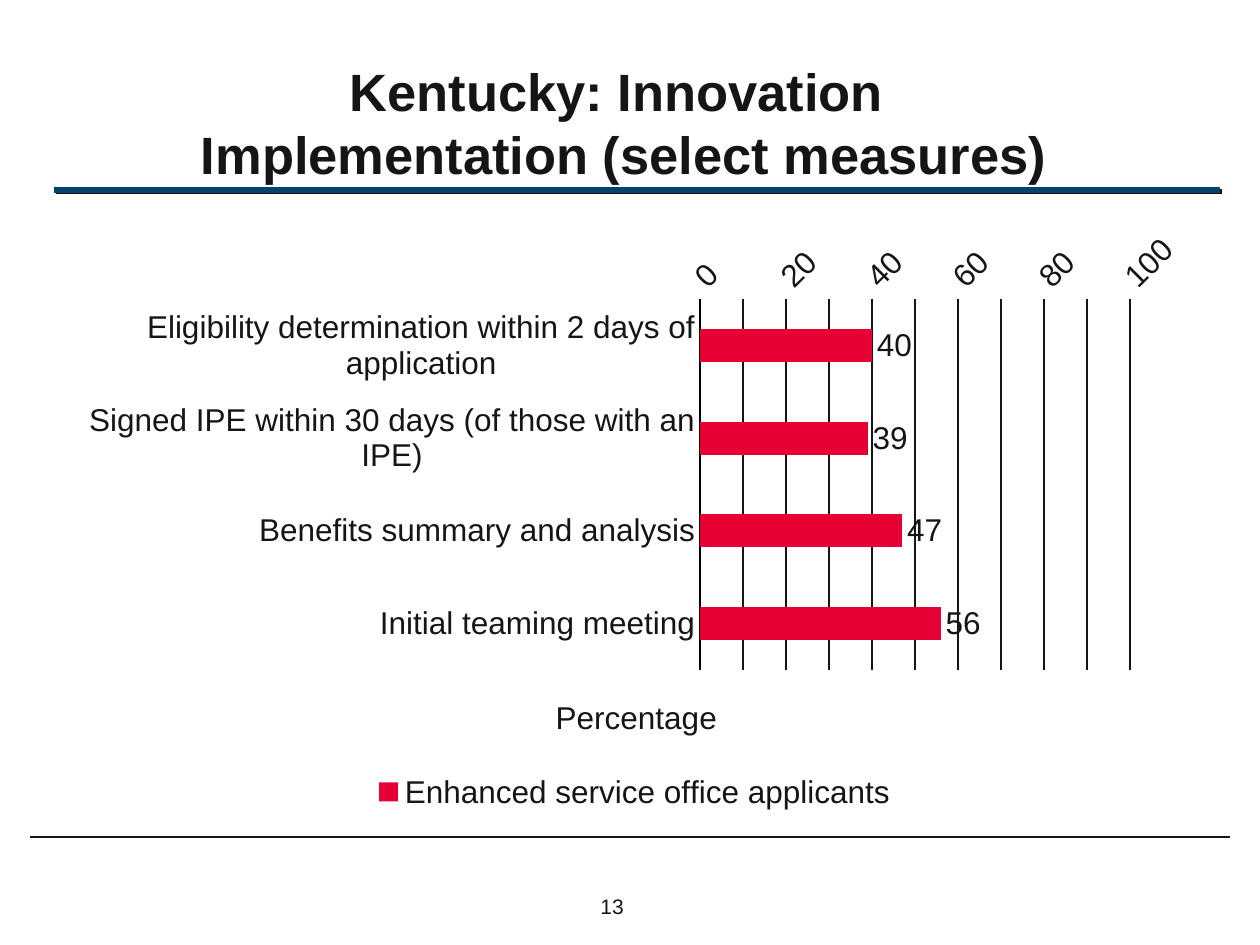
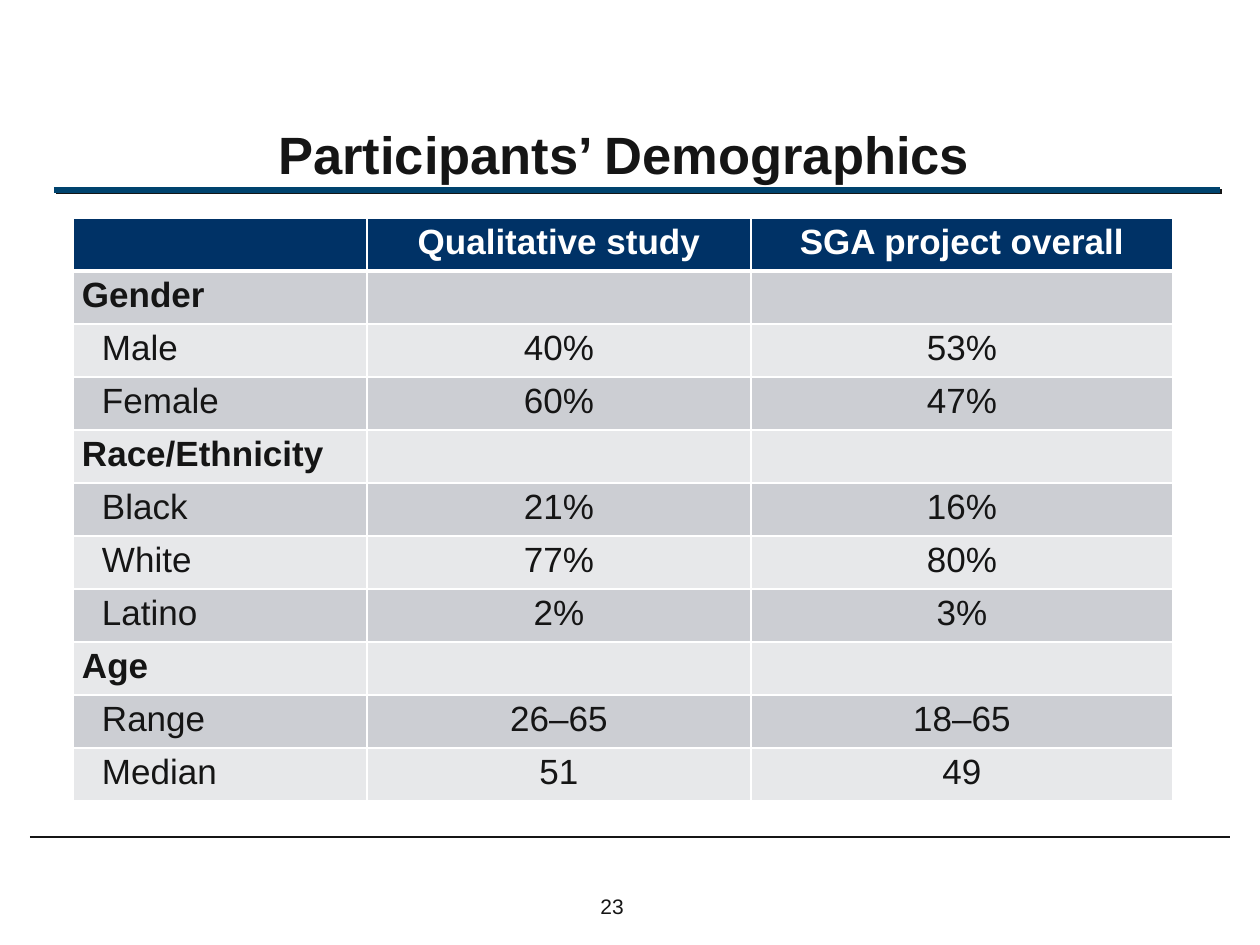
from dataclasses import dataclass

from lxml import etree
from pptx import Presentation
from pptx.chart.data import CategoryChartData
from pptx.dml.color import RGBColor
from pptx.enum.chart import XL_CHART_TYPE, XL_LABEL_POSITION, XL_LEGEND_POSITION, XL_TICK_MARK
from pptx.enum.shapes import MSO_CONNECTOR
from pptx.enum.text import MSO_ANCHOR, MSO_AUTO_SIZE, PP_ALIGN
from pptx.oxml import parse_xml
from pptx.oxml.ns import nsdecls, qn
from pptx.util import Emu, Pt


@dataclass(frozen=True)
class Theme:
    font: str = "Arial"
    ink: str = "151515"
    white: str = "FFFFFF"
    rule: str = "00436E"
    bar: str = "E70033"
    axis: str = "000000"
    header: str = "003266"
    bands: tuple = ("CCCED3", "E7E8EA")
    title_size: int = 30
    table_size: int = 20
    chart_size: int = 18
    number_size: int = 12


THEME = Theme()
PX_PER_INCH = 126
CHART_BOX = (67, 220, 1135, 596)
PLOT_BOX = (700, 299, 430, 371)
AXIS_TITLE_AT = (550, 691)
COLUMN_WIDTHS = (294, 384, 422)
ROW_HEIGHT = 53

MEASURES = (
    ("Eligibility determination within 2 days of application", 40),
    ("Signed IPE within 30 days (of those with an IPE)", 39),
    ("Benefits summary and analysis", 47),
    ("Initial teaming meeting", 56),
)
DEMOGRAPHICS = (
    ("", "Qualitative study", "SGA project overall"),
    ("Gender", "", ""),
    ("Male", "40%", "53%"),
    ("Female", "60%", "47%"),
    ("Race/Ethnicity", "", ""),
    ("Black", "21%", "16%"),
    ("White", "77%", "80%"),
    ("Latino", "2%", "3%"),
    ("Age", "", ""),
    ("Range", "26–65", "18–65"),
    ("Median", "51", "49"),
)


def px(n):
    return Emu(round(n * 914400 / PX_PER_INCH))


def rgb(color):
    return RGBColor.from_string(color)


def style_font(font, size, color=THEME.ink, bold=False):
    font.name = THEME.font
    font.size = Pt(size)
    font.bold = bold
    font.color.rgb = rgb(color)


def style_line(line, color, width):
    line.color.rgb = rgb(color)
    line.width = Pt(width)


def add_rule(slide, left, right, y, color, width, shadow=False):
    line = slide.shapes.add_connector(MSO_CONNECTOR.STRAIGHT, px(left), px(y), px(right), px(y))
    style_line(line.line, color, width)
    effects = etree.SubElement(line.element.spPr, qn("a:effectLst"))
    if shadow:
        effects.append(parse_xml(
            f'<a:outerShdw {nsdecls("a")} dist="{Pt(1.4)}" dir="2700000" algn="ctr" rotWithShape="0">'
            f'<a:srgbClr val="{THEME.ink}"/></a:outerShdw>'))


def add_page_number(slide, number):
    tf = slide.shapes.add_textbox(px(588), px(887), px(72), px(38)).text_frame
    tf.word_wrap = True
    tf.text = str(number)
    style_font(tf.paragraphs[0].runs[0].font, THEME.number_size)


def add_base_slide(prs, title, number):
    """Add a slide with its title, the two rules and the page number."""
    slide = prs.slides.add_slide(prs.slide_layouts[5])
    add_rule(slide, 54, 1220, 190, THEME.rule, 3, shadow=True)
    add_rule(slide, 30, 1230, 837, THEME.ink, 1.5)
    add_page_number(slide, number)
    s = slide.shapes.title
    s.left, s.top, s.width, s.height = (px(n) for n in (42, 34, 1164, 157))
    tf = s.text_frame
    tf.text = title
    tf.auto_size = MSO_AUTO_SIZE.NONE
    tf.vertical_anchor = MSO_ANCHOR.BOTTOM
    p = tf.paragraphs[0]
    p.alignment = PP_ALIGN.CENTER
    for r in p.runs:
        style_font(r.font, THEME.title_size, bold=True)
    return slide


def place_in_chart(element, index, left, top, size=None, target=""):
    """Give a chart part a fixed place, from slide px to fractions of the chart."""
    for old in element.findall(qn("c:layout")):
        element.remove(old)
    chart_left, chart_top, chart_width, chart_height = CHART_BOX
    values = {"x": (left - chart_left) / chart_width, "y": (top - chart_top) / chart_height}
    if size:
        values.update(w=size[0] / chart_width, h=size[1] / chart_height)
    layout = etree.Element(qn("c:layout"))
    manual = etree.SubElement(layout, qn("c:manualLayout"))
    if target:
        etree.SubElement(manual, qn("c:layoutTarget")).set("val", target)
    for name in ("x", "y"):
        etree.SubElement(manual, qn(f"c:{name}Mode")).set("val", "edge")
    for name, value in values.items():
        etree.SubElement(manual, qn(f"c:{name}")).set("val", f"{value:.4f}")
    element.insert(index, layout)


def format_value_axis(chart):
    axis = chart.value_axis
    axis.minimum_scale, axis.maximum_scale, axis.major_unit = 0, 100, 10
    axis.major_tick_mark = XL_TICK_MARK.NONE
    axis.format.line.fill.background()
    style_line(axis.major_gridlines.format.line, THEME.ink, 0.75)
    style_font(axis.tick_labels.font, THEME.chart_size)
    ax = chart.element.find(f".//{qn('c:valAx')}")
    ax.find(f"{qn('c:txPr')}/{qn('a:bodyPr')}").set("rot", "-2700000")
    tf = axis.axis_title.text_frame
    tf.text = "Percentage"
    style_font(tf.paragraphs[0].runs[0].font, THEME.chart_size)
    place_in_chart(ax.find(qn("c:title")), 1, *AXIS_TITLE_AT)


def add_measures_chart(slide):
    data = CategoryChartData()
    data.categories = [name for name, _ in MEASURES]
    data.add_series("Enhanced service office applicants", [value for _, value in MEASURES])
    chart = slide.shapes.add_chart(
        XL_CHART_TYPE.BAR_CLUSTERED, *(px(n) for n in CHART_BOX), data).chart
    style_font(chart.font, THEME.chart_size)
    chart.has_title = False
    chart.has_legend = True
    chart.legend.position = XL_LEGEND_POSITION.BOTTOM
    chart.legend.include_in_layout = False
    style_font(chart.legend.font, THEME.chart_size)

    plot = chart.plots[0]
    plot.gap_width = 182
    plot.vary_by_categories = False
    fill = plot.series[0].format.fill
    fill.solid()
    fill.fore_color.rgb = rgb(THEME.bar)
    plot.has_data_labels = True
    labels = plot.data_labels
    labels.show_value = True
    labels.position = XL_LABEL_POSITION.OUTSIDE_END
    style_font(labels.font, THEME.chart_size)

    axis = chart.category_axis
    axis.reverse_order = True
    axis.major_tick_mark = XL_TICK_MARK.NONE
    style_line(axis.format.line, THEME.axis, 0.75)
    style_font(axis.tick_labels.font, THEME.chart_size)
    format_value_axis(chart)
    left, top, *size = PLOT_BOX
    place_in_chart(chart.element.find(f".//{qn('c:plotArea')}"), 0, left, top, size, "inner")


def set_borders(cell, top, bottom):
    tc_pr = cell._tc.get_or_add_tcPr()
    for i, (side, width) in enumerate((("L", 1), ("R", 1), ("T", top), ("B", bottom))):
        tc_pr.insert(i, parse_xml(
            f'<a:ln{side} {nsdecls("a")} w="{Pt(width)}"><a:solidFill>'
            f'<a:srgbClr val="{THEME.white}"/></a:solidFill></a:ln{side}>'))


def fill_cell(cell, text, row, column, is_group):
    is_header = row == 0
    is_item = column == 0 and not is_group
    cell.margin_left = px(29 if is_item else 9)
    cell.margin_right = px(9)
    cell.margin_top = cell.margin_bottom = px(5)
    cell.fill.solid()
    cell.fill.fore_color.rgb = rgb(THEME.header if is_header else THEME.bands[(row - 1) % 2])
    set_borders(cell, top=3 if row == 1 else 1, bottom=3 if is_header else 1)
    cell.text = text
    p = cell.text_frame.paragraphs[0]
    p.alignment = PP_ALIGN.CENTER if column else PP_ALIGN.LEFT
    style_font(p.font, THEME.table_size)
    for r in p.runs:
        style_font(r.font, THEME.table_size, THEME.white if is_header else THEME.ink,
                   bold=is_header or is_group)


def add_demographics_table(slide):
    table = slide.shapes.add_table(
        len(DEMOGRAPHICS), len(COLUMN_WIDTHS), px(73), px(218),
        px(sum(COLUMN_WIDTHS)), px(ROW_HEIGHT * len(DEMOGRAPHICS))).table
    for column, width in zip(table.columns, COLUMN_WIDTHS):
        column.width = px(width)
    for i, values in enumerate(DEMOGRAPHICS):
        table.rows[i].height = px(ROW_HEIGHT)
        is_group = not any(values[1:])
        for j, text in enumerate(values):
            fill_cell(table.cell(i, j), text, i, j, is_group)


def main():
    prs = Presentation()
    prs.slide_width, prs.slide_height = px(1260), px(945)
    add_measures_chart(add_base_slide(
        prs, "Kentucky: Innovation \vImplementation (select measures)", 13))
    add_demographics_table(add_base_slide(prs, "Participants’ Demographics", 23))
    prs.save("out.pptx")


if __name__ == "__main__":
    main()
